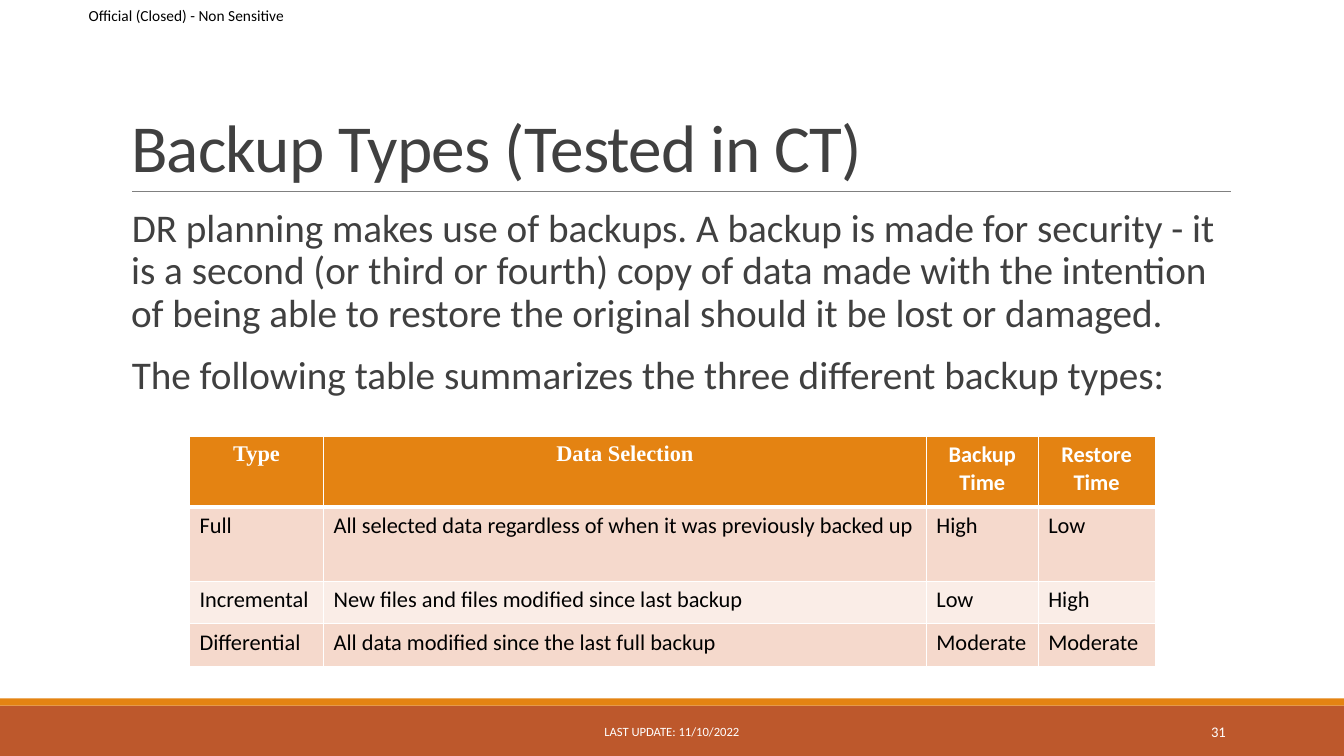
from dataclasses import dataclass
from typing import Optional

from lxml.etree import SubElement
from pptx import Presentation
from pptx.dml.color import RGBColor
from pptx.enum.shapes import MSO_CONNECTOR, MSO_SHAPE
from pptx.enum.text import MSO_ANCHOR, MSO_AUTO_SIZE, PP_ALIGN
from pptx.oxml.ns import qn
from pptx.util import Emu, Inches, Pt

WHITE = RGBColor(0xFF, 0xFF, 0xFF)
BLACK = RGBColor(0x00, 0x00, 0x00)
CHARCOAL = RGBColor(0x40, 0x40, 0x40)
GREY = RGBColor(0x80, 0x80, 0x80)
ORANGE = RGBColor(0xE4, 0x83, 0x12)
RUST = RGBColor(0xBD, 0x58, 0x2C)
PEACH = RGBColor(0xF5, 0xD9, 0xCC)
PALE_PEACH = RGBColor(0xFA, 0xED, 0xE7)

SANS = "Calibri"
SERIF = "Times New Roman"

# The slide is a grid of square units, ten to the inch
COLUMNS, ROWS = 133.33, 75


def units(count: float) -> Emu:
    return Inches(count / 10)


@dataclass(frozen=True)
class Box:
    left: float
    top: float
    width: float
    height: float

    def lengths(self) -> tuple[Emu, Emu, Emu, Emu]:
        return units(self.left), units(self.top), units(self.width), units(self.height)


@dataclass(frozen=True)
class Style:
    size: float
    color: RGBColor
    font: str = SANS
    bold: bool = False


@dataclass(frozen=True)
class Band:
    box: Box
    color: RGBColor


@dataclass(frozen=True)
class Label:
    text: str
    box: Box
    style: Style
    align: PP_ALIGN
    inset: float = 1


@dataclass(frozen=True)
class BackupType:
    name: str
    selection: str
    backup_time: str
    restore_time: str
    height: float

    def values(self) -> tuple[str, ...]:
        return self.name, self.selection, self.backup_time, self.restore_time


BANDS = [
    Band(Box(0, 70, COLUMNS, 5), RUST),
    Band(Box(0, 69.3, COLUMNS, 0.7), ORANGE),
]
LABELS = [
    Label("Official (Closed) - Non Sensitive", Box(8.8, 0, 21.3, 3.1),
          Style(11, BLACK), PP_ALIGN.LEFT, inset=0),
    Label("LAST UPDATE: 11/10/2022", Box(40.3, 70.6, 52.7, 4),
          Style(9, WHITE), PP_ALIGN.CENTER),
    Label("31", Box(108.3, 70.6, 14.3, 4), Style(10.5, WHITE), PP_ALIGN.RIGHT),
]
INTRODUCTION = [
    "DR planning makes use of backups. A backup is made for security - it is a "
    "second (or third or fourth) copy of data made with the intention of being "
    "able to restore the original should it be lost or damaged.",
    "The following table summarizes the three different backup types:",
]
TABLE_COLUMNS = [13.3, 59.8, 11.1, 11.6]
HEADINGS = BackupType("Type", "Data Selection", "Backup Time", "Restore Time", 7)
BACKUP_TYPES = [
    BackupType("Full", "All selected data regardless of when it was previously backed up",
               "High", "Low", 7.4),
    BackupType("Incremental", "New files and files modified since last backup",
               "Low", "High", 4.2),
    BackupType("Differential", "All data modified since the last full backup",
               "Moderate", "Moderate", 4.2),
]


def add_text(paragraph, text: str, style: Style):
    run = paragraph.add_run()
    run.text = text
    run.font.name = style.font
    run.font.size = Pt(style.size)
    run.font.bold = style.bold
    run.font.color.rgb = style.color
    return run


def place(placeholder, box: Box, anchor: MSO_ANCHOR):
    placeholder.left, placeholder.top, placeholder.width, placeholder.height = box.lengths()
    frame = placeholder.text_frame
    frame.word_wrap = True
    frame.auto_size = MSO_AUTO_SIZE.NONE
    frame.vertical_anchor = anchor
    return frame


def draw_band(slide, band: Band) -> None:
    shape = slide.shapes.add_shape(MSO_SHAPE.RECTANGLE, *band.box.lengths())
    shape.shadow.inherit = False
    shape.fill.solid()
    shape.fill.fore_color.rgb = band.color
    shape.line.fill.background()


def draw_title_rule(slide) -> None:
    rule = slide.shapes.add_connector(
        MSO_CONNECTOR.STRAIGHT, units(13.1), units(19), units(122.1), units(19))
    rule.line.color.rgb = GREY
    rule.line.width = Pt(0.5)
    SubElement(rule._element.spPr, qn("a:effectLst"))


def draw_label(slide, label: Label) -> None:
    frame = slide.shapes.add_textbox(*label.box.lengths()).text_frame
    frame.word_wrap = True
    frame.vertical_anchor = MSO_ANCHOR.MIDDLE
    frame.margin_left = frame.margin_right = units(label.inset)
    paragraph = frame.paragraphs[0]
    paragraph.alignment = label.align
    add_text(paragraph, label.text, label.style)


def write_title(slide) -> None:
    frame = place(slide.shapes.title, Box(12, 3.1, 110, 15.9), MSO_ANCHOR.BOTTOM)
    heading = frame.paragraphs[0]
    heading.alignment = PP_ALIGN.LEFT
    heading.line_spacing = 0.85
    run = add_text(heading, "Backup Types (Tested in CT)", Style(48, CHARCOAL))
    run._r.get_or_add_rPr().set("spc", "-50")


def write_introduction(slide) -> None:
    frame = place(slide.placeholders[1], Box(12, 20.2, 110, 44), MSO_ANCHOR.TOP)
    frame.margin_left = frame.margin_right = 0
    for index, text in enumerate(INTRODUCTION):
        paragraph = frame.add_paragraph() if index else frame.paragraphs[0]
        properties = paragraph._p.get_or_add_pPr()
        properties.set("marL", str(units(1)))
        properties.set("indent", str(-units(1)))
        SubElement(properties, qn("a:buChar"), char=" ")
        paragraph.line_spacing = 0.9
        paragraph.space_before = Pt(12 if index else 0)
        paragraph.space_after = Pt(2)
        add_text(paragraph, text, Style(28, CHARCOAL))


def format_cell(cell, fill: RGBColor, top: float, bottom: float) -> None:
    properties = cell._tc.get_or_add_tcPr()
    for side, width in (("L", 1), ("R", 1), ("T", top), ("B", bottom)):
        border = SubElement(properties, qn(f"a:ln{side}"), w=str(Pt(width)))
        color = SubElement(border, qn("a:solidFill"))
        SubElement(color, qn("a:srgbClr"), val=str(WHITE))
    cell.fill.solid()
    cell.fill.fore_color.rgb = fill


def draw_backup_table(slide) -> None:
    rows = [HEADINGS, *BACKUP_TYPES]
    box = Box(18.8, 43.3, sum(TABLE_COLUMNS), sum(row.height for row in rows))
    table = slide.shapes.add_table(len(rows), len(TABLE_COLUMNS), *box.lengths()).table
    for column, width in zip(table.columns, TABLE_COLUMNS):
        column.width = units(width)
    for r, row in enumerate(rows):
        table.rows[r].height = units(row.height)
        is_header = r == 0
        fill = ORANGE if is_header else PEACH if r % 2 else PALE_PEACH
        for c, text in enumerate(row.values()):
            cell = table.cell(r, c)
            format_cell(cell, fill, 3 if r == 1 else 1, 3 if is_header else 1)
            paragraph = cell.text_frame.paragraphs[0]
            paragraph.alignment = PP_ALIGN.CENTER if is_header else PP_ALIGN.LEFT
            font = SERIF if is_header and c < 2 else SANS
            add_text(paragraph, text,
                     Style(16, WHITE if is_header else BLACK, font, is_header))


def main() -> None:
    deck = Presentation()
    deck.slide_width, deck.slide_height = units(COLUMNS), units(ROWS)
    slide = deck.slides.add_slide(deck.slide_layouts[1])

    # Footer bands and rule under the title
    for band in BANDS:
        draw_band(slide, band)
    draw_title_rule(slide)

    # Title, introduction and table
    write_title(slide)
    write_introduction(slide)
    draw_backup_table(slide)

    # Classification, date and page number
    for label in LABELS:
        draw_label(slide, label)
    deck.save("out.pptx")


if __name__ == "__main__":
    main()
